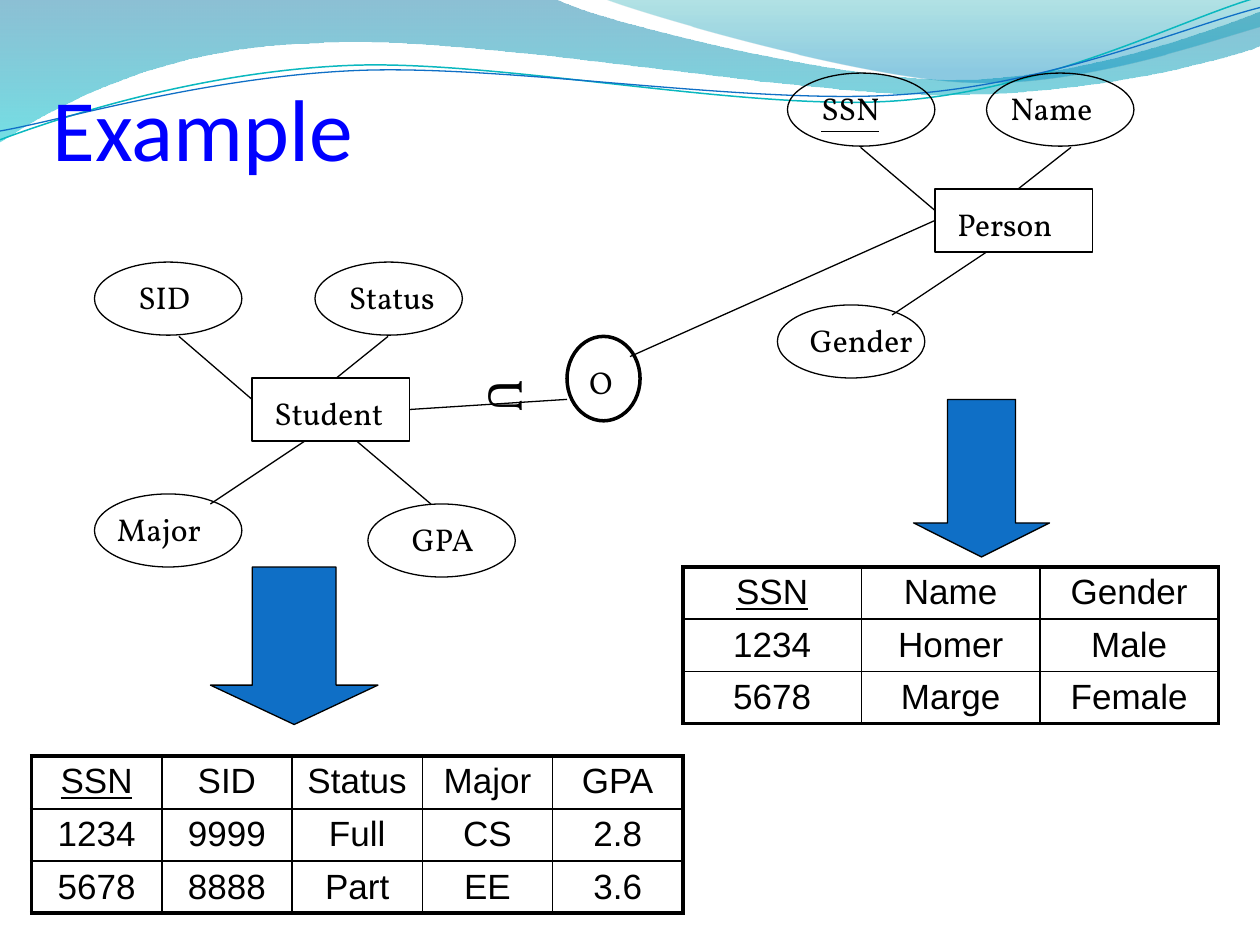
"""Builds the Example slide: a subclass ER diagram mapped to two tables."""
import dataclasses
import itertools

import pptx
import pptx.dml.color
import pptx.enum.shapes
import pptx.enum.text
import pptx.oxml
import pptx.oxml.ns
import pptx.util
from lxml import etree

Inches = pptx.util.Inches
Shapes = pptx.enum.shapes.MSO_SHAPE
COLORS = {
    "ink": "000000", "title": "0000FF", "white": "FFFFFF", "arrow": "0F6FC6",
    "teal": "0AB8BF", "sea": "0074A1", "aqua": "00C6CF", "lagoon": "00A1A9", "sky": "008BBF",
}


def rgb(name):
    return pptx.dml.color.RGBColor.from_string(COLORS[name])


def child(parent, tag, **attributes):
    return etree.SubElement(parent, pptx.oxml.ns.qn("a:" + tag), attributes)


@dataclasses.dataclass
class Diagram:
    slide: object
    label_font: str = "Vollkorn"
    table_font: str = "Arial"
    title_font: str = "Calibri"

    def style(self, paragraph, font, size, color="ink", underline=False, before=0):
        paragraph.font.name = font
        paragraph.font.size = pptx.util.Pt(size)
        paragraph.font.color.rgb = rgb(color)
        if underline:
            paragraph.font.underline = True
        if before:
            properties = paragraph._p.get_or_add_pPr()
            spacing = child(properties, "spcBef")
            child(spacing, "spcPct", val=str(before * 1000))
            properties.insert(0, spacing)

    def text(self, words, x, y, width, height=0.4, size=18, underline=False, before=50, wrap=True):
        box = self.slide.shapes.add_textbox(*map(Inches, (x, y, width, height)))
        frame = box.text_frame
        frame.word_wrap = wrap
        frame.auto_size = pptx.enum.text.MSO_AUTO_SIZE.SHAPE_TO_FIT_TEXT
        frame.text = words
        self.style(frame.paragraphs[0], self.label_font, size, "ink", underline, before)
        return box

    def title(self, words):
        frame = self.slide.shapes.add_textbox(*map(Inches, (0.42, 0.17, 9, 1.25))).text_frame
        frame.word_wrap = True
        frame.vertical_anchor = pptx.enum.text.MSO_ANCHOR.BOTTOM
        frame.margin_left = frame.margin_right = frame.margin_bottom = 0
        frame.text = words
        self.style(frame.paragraphs[0], self.title_font, 50, "title")

    def shape(self, kind, x, y, width, height, fill=None, weight=0.75):
        shape = self.slide.shapes.add_shape(kind, *map(Inches, (x, y, width, height)))
        shape.shadow.inherit = False
        if fill:
            shape.fill.solid()
            shape.fill.fore_color.rgb = rgb(fill)
        else:
            shape.fill.background()
        shape.line.color.rgb = rgb("ink")
        shape.line.width = pptx.util.Pt(weight)
        return shape

    def entity(self, name, x, y):
        self.shape(Shapes.RECTANGLE, x, y, 1.25, 0.5)
        self.text(name, x + 0.08, y + 0.08, 1.08)

    def attribute(self, name, x, y, indent, width, key=False):
        self.shape(Shapes.OVAL, x, y, 1.17, 0.58)
        self.text(name, x + indent, y + 0.08, width, underline=key)

    def down_arrow(self, x, y, width):
        arrow = self.shape(Shapes.DOWN_ARROW, x, y, width, 1.25, "arrow")
        arrow.adjustments[0] = 0.5
        arrow.adjustments[1] = 0.25

    def link(self, *ends):
        line = self.slide.shapes.add_connector(
            pptx.enum.shapes.MSO_CONNECTOR.STRAIGHT, *map(Inches, ends))
        line.line.color.rgb = rgb("ink")
        line.line.width = pptx.util.Pt(0.75)
        child(line._element.spPr, "effectLst")

    def outline(self, start, segments, closed):
        points = [tuple(map(Inches, point)) for point in itertools.chain(*segments)]
        builder = self.slide.shapes.build_freeform(*map(Inches, start))
        builder.add_line_segments(points, close=closed)
        shape = builder.convert_to_shape()
        shape.shadow.inherit = False
        steps = iter(list(shape._element.iter(pptx.oxml.ns.qn("a:lnTo"))))
        for segment in segments:
            first, *others = itertools.islice(steps, len(segment))
            if others:
                first.tag = pptx.oxml.ns.qn("a:cubicBezTo")
                for step in others:
                    first.append(step[0])
                    step.getparent().remove(step)
        return shape

    def wave(self, start, segments, stops):
        shape = self.outline(start, segments, True)
        shape.line.fill.background()
        shape.fill.gradient()
        shape.fill.gradient_angle = 270
        for stop, (position, color, alpha) in zip(shape.fill.gradient_stops, stops):
            stop.position = position
            stop.color.rgb = rgb(color)
            child(stop._gs[0], "alpha", val=str(alpha * 1000))

    def ripple(self, start, segments, color, weight):
        shape = self.outline(start, segments, False)
        shape.fill.background()
        shape.line.color.rgb = rgb(color)
        shape.line.width = pptx.util.Pt(weight)

    def border(self, cell, edges):
        properties = cell._tc.get_or_add_tcPr()
        for index, (tag, outer) in enumerate(edges):
            line = child(properties, tag, w=str(pptx.util.Pt(2.25 if outer else 1)))
            child(child(line, "solidFill"), "srgbClr", val=COLORS["ink"])
            properties.insert(index, line)

    def table(self, rows, x, y, width, heights):
        last_row, last_column = len(rows) - 1, len(rows[0]) - 1
        grid = self.slide.shapes.add_table(
            len(rows), len(rows[0]), Inches(x), Inches(y), Inches(width), Inches(sum(heights))).table
        grid.first_row = grid.horz_banding = False
        for r, row in enumerate(rows):
            grid.rows[r].height = Inches(heights[r])
            for c, value in enumerate(row):
                cell = grid.cell(r, c)
                cell.margin_bottom = Inches(0.03)
                cell.text = value
                paragraph = cell.text_frame.paragraphs[0]
                paragraph.alignment = pptx.enum.text.PP_ALIGN.CENTER
                self.style(paragraph, self.table_font, 20, "ink", r == c == 0, 20)
                if r == 1:
                    cell.fill.solid()
                    cell.fill.fore_color.rgb = rgb("white")
                else:
                    cell.fill.background()
                self.border(cell, (("lnL", c == 0), ("lnR", c == last_column),
                                   ("lnT", r == 0), ("lnB", r == last_row)))


deck = pptx.Presentation()
deck.slide_width, deck.slide_height = Inches(10), Inches(7.5)
diagram = Diagram(deck.slides.add_slide(deck.slide_layouts[6]))

diagram.wave((0, 0), [((4.4, -0.01),),
                      ((4.76, 0.17), (6.64, 0.63), (7.58, 0.63)),
                      ((8.53, 0.63), (9.58, 0.26), (10, 0.09)),
                      ((10.01, 0.36),),
                      ((9.83, 0.44), (8.7, 0.76), (7.46, 0.75)),
                      ((6.22, 0.75), (3.82, 0.28), (2.57, 0.34)),
                      ((1.29, 0.36), (0.46, 0.83), (-0.01, 1.13))],
             [(0, "sea", 45), (1, "aqua", 55)])
diagram.wave((4.79, -0.01), [((5.09, 0.11), (6.82, 0.62), (7.69, 0.65)),
                             ((8.56, 0.69), (9.61, 0.32), (10, 0.21)),
                             ((10, 0),)],
             [(0, "lagoon", 30), (0.8, "sky", 45)])
diagram.ripple((0, 1.11), [((0.48, 0.93), (1.58, 0.57), (2.77, 0.52)),
                           ((3.95, 0.47), (5.93, 0.89), (7.13, 0.8)),
                           ((8.33, 0.71), (9.38, 0.15), (9.98, -0.02))], "teal", 0.85)
diagram.ripple((0, 1.04), [((0.47, 0.96), (1.64, 0.61), (2.83, 0.56)),
                           ((4.03, 0.51), (5.97, 0.84), (7.17, 0.75)),
                           ((8.36, 0.67), (9.41, 0.21), (10, 0.06))], "arrow", 0.75)

diagram.title("Example")
diagram.table([("SSN", "SID", "Status", "Major", "GPA"), ("1234", "9999", "Full", "CS", "2.8"),
               ("5678", "8888", "Part", "EE", "3.6")], 0.25, 6, 5.17, (0.42, 0.36, 0.36))
diagram.table([("SSN", "Name", "Gender"), ("1234", "Homer", "Male"), ("5678", "Marge", "Female")],
              5.42, 4.5, 4.25, (0.37, 0.37, 0.37))

for entity in (("Student", 2, 3), ("Person", 7.42, 1.5)):
    diagram.entity(*entity)
for attribute in (("Status", 2.5, 2.08, 0.17, 0.92), ("SID", 0.75, 2.08, 0.25, 0.83),
                  ("Major", 0.75, 3.92, 0.08, 0.92), ("GPA", 2.92, 4, 0.25, 0.75),
                  ("Gender", 6.17, 2.42, 0.16, 1.17), ("SSN", 6.25, 0.58, 0.17, 0.83, True),
                  ("Name", 7.83, 0.58, 0.09, 0.92)):
    diagram.attribute(*attribute)
for ends in ((1.42, 2.67, 2, 3.17), (3.08, 2.67, 2.67, 3), (3.42, 4, 2.83, 3.5),
             (1.67, 4, 2.42, 3.5), (6.83, 1.17, 7.42, 1.67), (8.5, 1.17, 8.08, 1.5),
             (7.08, 2.5, 7.83, 2), (5, 2.83, 7.42, 1.75), (4.5, 3.17, 3.25, 3.25)):
    diagram.link(*ends)
for arrow_place in ((1.67, 4.5, 1.33), (7.25, 3.17, 1.08)):
    diagram.down_arrow(*arrow_place)
diagram.shape(Shapes.OVAL, 4.5, 2.67, 0.58, 0.67, weight=2)
diagram.text("O", 4.58, 2.83, 0.41, before=0, wrap=False)
diagram.text("U", 3.74, 2.92, 0.58, 0.57, size=28, before=0).rotation = 90
deck.save("out.pptx")
